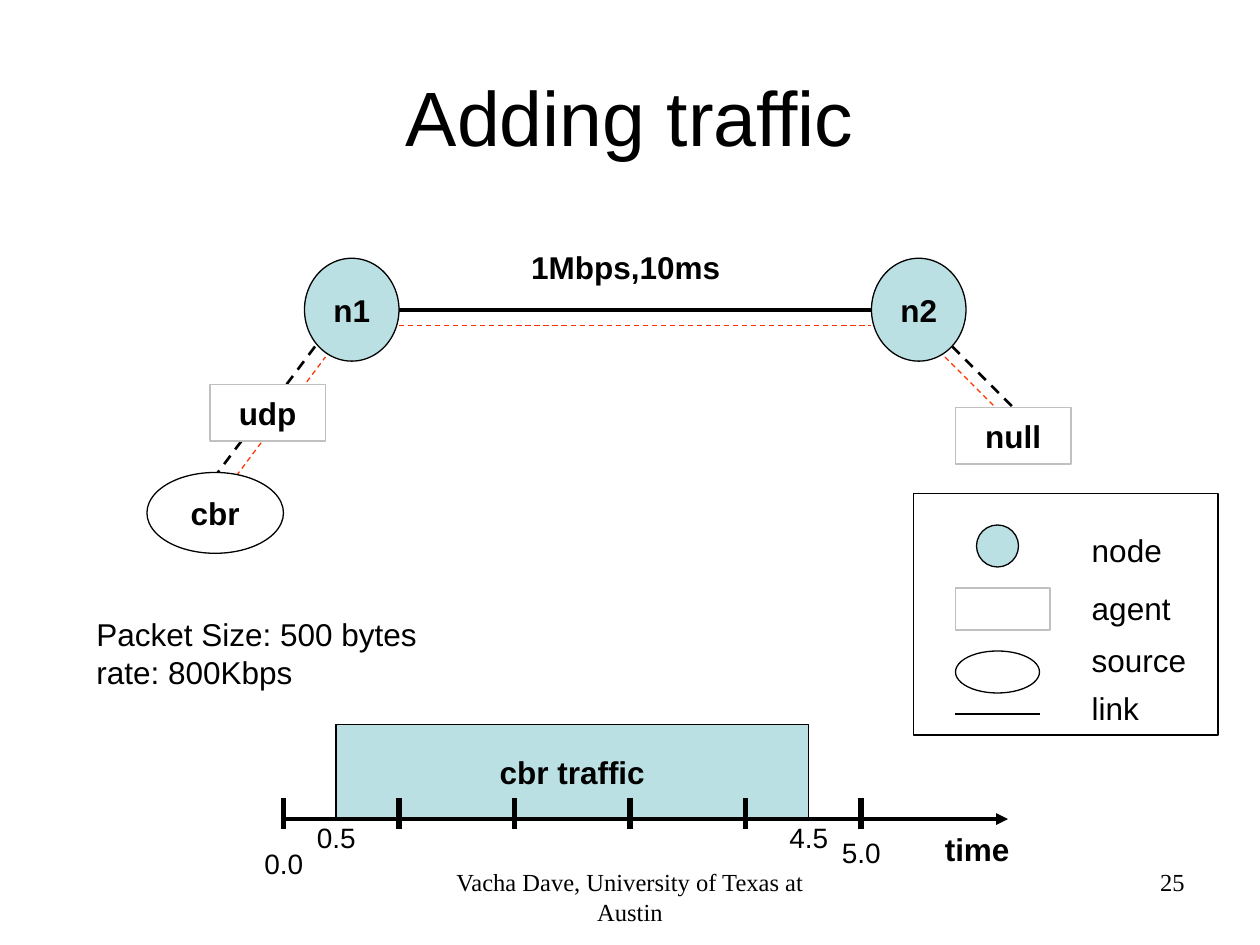
from lxml.etree import SubElement
from pptx import Presentation
from pptx.dml.color import RGBColor
from pptx.enum.dml import MSO_LINE_DASH_STYLE as Dash
from pptx.enum.shapes import MSO_CONNECTOR as Connector, MSO_SHAPE as Shape
from pptx.enum.text import MSO_ANCHOR as Anchor, PP_ALIGN as Align
from pptx.oxml.ns import qn
from pptx.util import Inches, Pt

COLORS = {"ink": "000000", "node": "BBE0E3", "paper": "FFFFFF",
          "agent": "C0C0C0", "flow": "FF3300"}
SANS, SERIF = "Arial", "Times New Roman"
AXIS_Y, AXIS_X, SECOND = 78, 27, 11


def grid(n):
    """Length of n grid units; the slide is 120 by 90 units."""
    return Inches(n / 12)


def rgb(name):
    return RGBColor.from_string(COLORS[name])


def write(tf, lines, size=18, bold=False, font=SANS, align=Align.LEFT):
    tf.word_wrap = True
    for i, line in enumerate(lines):
        p = tf.add_paragraph() if i else tf.paragraphs[0]
        p.alignment = align
        r = p.add_run()
        r.text = line
        r.font.name, r.font.size, r.font.bold = font, Pt(size), bold
        r.font.color.rgb = rgb("ink")


def add_label(s, box, *lines, **style):
    tb = s.shapes.add_textbox(*map(grid, box))
    write(tb.text_frame, lines, **style)


def add_box(s, kind, box, fill="paper", line="ink", text=None):
    sp = s.shapes.add_shape(kind, *map(grid, box))
    sp.shadow.inherit = False
    sp.fill.solid()
    sp.fill.fore_color.rgb = rgb(fill)
    sp.line.color.rgb = rgb(line)
    sp.line.width = Pt(0.75)
    if text:
        tf = sp.text_frame
        write(tf, [text], bold=True, align=Align.CENTER)
        tf.word_wrap = False
        tf.vertical_anchor = Anchor.MIDDLE
    return sp


def add_line(s, start, end, width=0.75, color="ink", dashed=False, arrow=False):
    c = s.shapes.add_connector(Connector.STRAIGHT, *map(grid, start + end))
    c.line.color.rgb = rgb(color)
    c.line.width = Pt(width)
    if dashed:
        c.line.dash_style = Dash.DASH
    if arrow:
        SubElement(c.line._get_or_add_ln(), qn("a:tailEnd"), type="triangle")
    SubElement(c._element.spPr, qn("a:effectLst"))
    return c


def add_title(s, text):
    title = s.shapes.title
    title.left, title.top, title.width, title.height = map(
        grid, (6.75, 4.3, 106.5, 13.5))
    title.text_frame.vertical_anchor = Anchor.MIDDLE
    write(title.text_frame, [text], size=44, align=Align.CENTER)


def add_network(s):
    for start, end in (((22, 46), (31, 34)), ((38, 31), (83, 31)),
                       ((90, 34), (95, 39))):
        add_line(s, start, end, color="flow", dashed=True)
    for start, end in (((30, 33), (27, 37)), ((23, 42), (20, 46))):
        add_line(s, start, end, width=1.5, dashed=True)
    for name, x in (("n1", 29), ("n2", 83)):
        add_box(s, Shape.OVAL, (x, 24.6, 9, 9.8), "node", text=name)
    add_line(s, (38, 29.5), (83, 29.5), width=2.25)
    add_label(s, (38, 23, 43.2, 4.8), "1Mbps,10ms", bold=True,
              align=Align.CENTER)
    add_box(s, Shape.RECTANGLE, (20, 36.6, 11, 5.4), line="agent", text="udp")
    null = add_box(s, Shape.RECTANGLE, (91, 38.8, 11, 5.4), line="agent",
                   text="null")
    sink = add_line(s, (90.7, 33), (96.5, 38.8), width=1.5, dashed=True)
    sink.end_connect(null, 0)
    add_box(s, Shape.OVAL, (14, 45, 13, 7.7), text="cbr")
    add_label(s, (8, 58, 36, 8.4), "Packet Size: 500 bytes", "rate: 800Kbps")


def add_timeline(s):
    add_box(s, Shape.RECTANGLE, (32, 69, 45, 9), "node", text="cbr traffic")
    add_line(s, (AXIS_X, AXIS_Y), (96, AXIS_Y), width=2.25, arrow=True)
    for second in range(6):
        x = AXIS_X + second * SECOND
        add_line(s, (x, AXIS_Y - 2), (x, AXIS_Y + 1), width=3)
    for text, x, drop in (("0.0", 24, 2), ("0.5", 29, -0.4),
                          ("5.0", 79, 1), ("4.5", 74, -0.4)):
        add_label(s, (x, AXIS_Y + drop, 7, 4.4), text, size=16)
    add_label(s, (88.8, AXIS_Y + 0.5, 10, 4.8), "time", bold=True)


def add_legend(s):
    add_box(s, Shape.RECTANGLE, (87, 47, 29, 23))
    add_box(s, Shape.OVAL, (93, 50, 4, 4), "node")
    add_box(s, Shape.RECTANGLE, (91, 56, 9, 4), line="agent")
    add_box(s, Shape.OVAL, (91, 62, 8, 4))
    add_line(s, (91, 68), (99, 68))
    for text, y in (("node", 50), ("agent", 55.5), ("source", 60.5),
                    ("link", 65)):
        add_label(s, (102.8, y, 12, 4.8), text)


def add_footer(s):
    add_label(s, (41, 82, 38, 6.2), "Vacha Dave, University of Texas at Austin",
              size=14, font=SERIF, align=Align.CENTER)
    add_label(s, (86, 82, 28, 6.2), "25", size=14, font=SERIF,
              align=Align.RIGHT)


def main():
    prs = Presentation()
    prs.slide_width, prs.slide_height = Inches(10), Inches(7.5)
    s = prs.slides.add_slide(prs.slide_layouts[5])
    add_title(s, "Adding traffic")
    add_network(s)
    add_timeline(s)
    add_legend(s)
    add_footer(s)
    prs.save("out.pptx")


if __name__ == "__main__":
    main()
